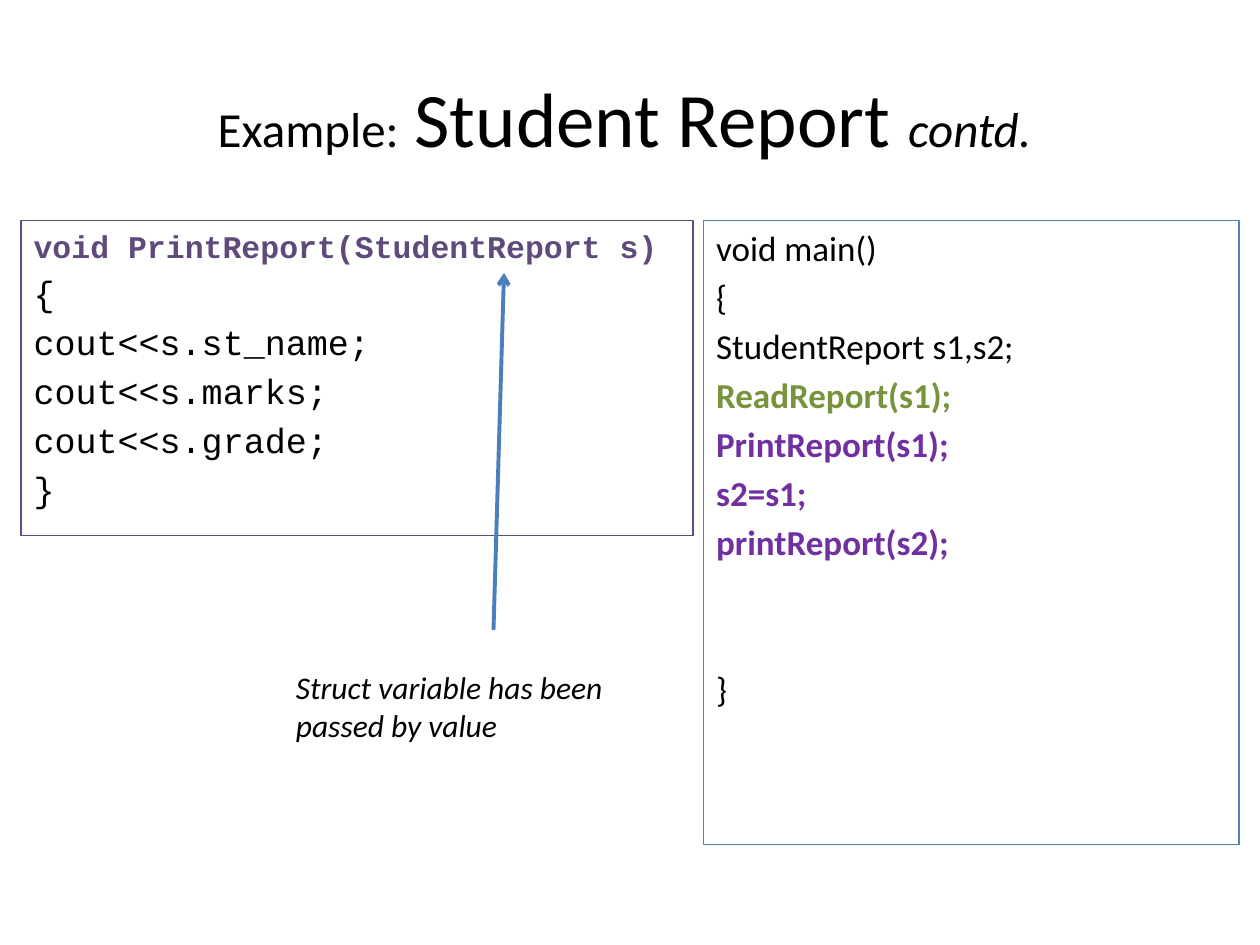
from dataclasses import dataclass, field

from pptx import Presentation
from pptx.dml.color import RGBColor
from pptx.enum import shapes, text
from pptx.oxml.ns import qn
from pptx import util as u
from lxml import etree

CELL = 1 / 12  # grid of 120 columns by 90 rows, in inches
BLACK, PURPLE, VIOLET, GREEN, BLUE = "000000", "604A7B", "7030A0", "77933C", "4F81BD"
SANS, MONO = "Calibri", "Courier New"


@dataclass
class Run:
    text: str
    size: float = 20
    color: str = BLACK
    font: str = SANS
    style: dict = field(default_factory=dict)


@dataclass
class Line:
    run: Run
    gap: float | None = None  # space before in points, else the template's


@dataclass
class CodePanel:
    idx: int
    box: tuple
    border: str
    lines: list


def grid(cells: float) -> int:
    return u.Inches(cells * CELL)


def rgb(value: str) -> RGBColor:
    return RGBColor.from_string(value)


def place(sp, box: tuple) -> None:
    for name, cells in zip(("left", "top", "width", "height"), box):
        setattr(sp, name, grid(cells))


def add_run(p, run: Run) -> None:
    r = p.add_run()
    r.text = run.text
    look = {"size": u.Pt(run.size), "name": run.font, **run.style}
    for name, value in look.items():
        setattr(r.font, name, value)
    r.font.color.rgb = rgb(run.color)


def draw_panel(slide, panel: CodePanel) -> None:
    sp = slide.placeholders[panel.idx]
    place(sp, panel.box)
    sp.line.color.rgb = rgb(panel.border)
    sp.line.width = u.Pt(0.75)
    tf = sp.text_frame
    tf.auto_size = text.MSO_AUTO_SIZE.NONE
    for i, line in enumerate(panel.lines):
        p = tf.add_paragraph() if i else tf.paragraphs[0]
        if line.gap is not None:
            p.space_before = u.Pt(line.gap)
        add_run(p, line.run)
        # No bullet, hanging indent
        ppr = p._p.get_or_add_pPr()
        ppr.set("marL", str(u.Inches(0.38)))
        ppr.set("indent", str(-u.Inches(0.38)))
        etree.SubElement(ppr, qn("a:buNone"))


def draw_arrow(slide, start: tuple, end: tuple, color: str) -> None:
    points = [grid(cells) for cells in start + end]
    sp = slide.shapes.add_connector(shapes.MSO_CONNECTOR.STRAIGHT, *points)
    sp.line.color.rgb = rgb(color)
    sp.line.width = u.Pt(2.25)
    etree.SubElement(sp.line._get_or_add_ln(), qn("a:tailEnd"), type="arrow")
    etree.SubElement(sp._element.spPr, qn("a:effectLst"))


def draw_note(slide, box: tuple, run: Run) -> None:
    sp = slide.shapes.add_textbox(*(grid(cells) for cells in box))
    sp.text_frame.word_wrap = True
    add_run(sp.text_frame.paragraphs[0], run)


BOLD, ITALIC = {"bold": True}, {"italic": True}

TITLE = [
    Run("Example:", 28),
    Run(" ", 40),
    Run("Student Report ", 44),
    Run("contd. ", 28, style=ITALIC),
]

PRINT_BODY = ["{", "cout<<s.st_name;", "cout<<s.marks;", "cout<<s.grade;", "}"]
MAIN_START = ["void main()", "{", "StudentReport s1,s2;"]
MAIN_CALLS = ["PrintReport(s1);", "s2=s1;", "printReport(s2);"]

PANELS = [
    CodePanel(1, (2, 21, 64, 30), PURPLE, [
        Line(Run("void PrintReport(StudentReport s)", 18, PURPLE, MONO, BOLD)),
        *(Line(Run(code, font=MONO)) for code in PRINT_BODY),
    ]),
    CodePanel(2, (67, 21, 51, 59.4), BLUE, [
        *(Line(Run(code)) for code in MAIN_START),
        Line(Run("ReadReport(s1);", color=GREEN, style=BOLD)),
        *(Line(Run(code, color=VIOLET, style=BOLD)) for code in MAIN_CALLS),
        Line(Run("}"), gap=60),
    ]),
]


def main() -> None:
    prs = Presentation()
    prs.slide_width, prs.slide_height = grid(120), grid(90)
    slide = prs.slides.add_slide(prs.slide_layouts[3])

    # Title
    title = slide.shapes.title
    place(title, (6, 3.6, 108, 15))
    title.text_frame.auto_size = text.MSO_AUTO_SIZE.NONE
    for run in TITLE:
        add_run(title.text_frame.paragraphs[0], run)

    # Code panels
    for panel in PANELS:
        draw_panel(slide, panel)

    # Note pointing at the parameter
    draw_arrow(slide, (47, 60), (48, 26), "4B7EBC")
    draw_note(slide, (27, 63, 33, 8.5),
              Run("Struct variable has been passed by value", 18, style=ITALIC))

    prs.save("out.pptx")


if __name__ == "__main__":
    main()
